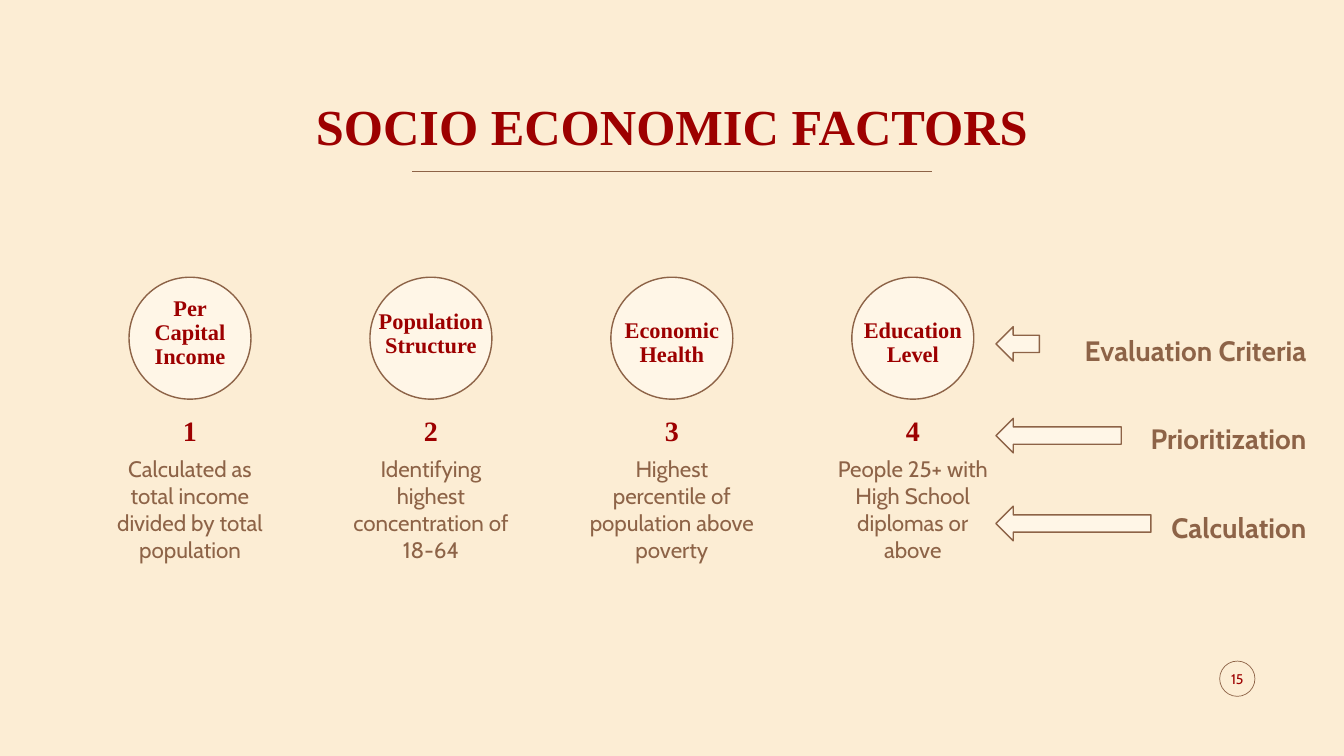
from typing import NamedTuple

import pptx
import pptx.dml.color
import pptx.enum.shapes
import pptx.enum.text
import pptx.oxml.ns
import pptx.util
from lxml import etree

Pt = pptx.util.Pt
Align = pptx.enum.text.PP_ALIGN
Anchor = pptx.enum.text.MSO_ANCHOR
Kind = pptx.enum.shapes.MSO_SHAPE

CREAM, PALE, BROWN, RED = "FCEDD4", "FFF6E7", "8D6347", "9D0000"
SERIF, SANS = "Times New Roman", "Cabin"


class Box(NamedTuple):
    left: float
    top: float
    width: float
    height: float


class Style(NamedTuple):
    font: str
    size: float
    color: str
    bold: bool = False
    align: Align = Align.CENTER
    anchor: Anchor = Anchor.TOP
    line: float = 1.0
    gap: float = 0


class Factor(NamedTuple):
    name: str
    top: float
    width: float
    detail: str


class Arrow(NamedTuple):
    label: str
    top: float
    width: float


TITLE = Style(SERIF, 36, RED, True, anchor=Anchor.BOTTOM, line=0.9)
NAME = Style(SERIF, 16, RED, True, line=0.9)
RANK = Style(SERIF, 20, RED, True, anchor=Anchor.BOTTOM, line=0.9)
DETAIL = Style(SANS, 16, BROWN)
SIDE = Style(SANS, 20, BROWN, True, Align.RIGHT, Anchor.MIDDLE, 0.9, 41.3)
PAGE = Style(SANS, 10, RED, anchor=Anchor.MIDDLE)

FACTORS = [
    Factor("Per Capital Income", 208.8, 87.1,
           "Calculated as total income divided by total population"),
    Factor("Population Structure", 218.2, 93.6,
           "Identifying highest concentration of 18-64"),
    Factor("Economic Health", 224.6, 87.1,
           "Highest percentile of population above poverty"),
    Factor("Education Level", 224.6, 87.1,
           "People 25+ with High School diplomas or above"),
]
ARROWS = [
    Arrow("Evaluation Criteria", 233.3, 31),
    Arrow("Prioritization", 298.8, 89.5),
    Arrow("Calculation", 361.6, 110.7),
]
CENTER, PITCH = 135.7, 172.1
DISC, COLUMN = 87.1, 136.1


def paint(code: str) -> pptx.dml.color.RGBColor:
    return pptx.dml.color.RGBColor.from_string(code)


def place(shape, box: Box) -> None:
    shape.left, shape.top, shape.width, shape.height = map(Pt, box)


def write(shape, text: str, style: Style) -> None:
    """Fill a shape with text, one paragraph to each line."""
    frame = shape.text_frame
    frame.text = text
    frame.word_wrap = True
    frame.auto_size = pptx.enum.text.MSO_AUTO_SIZE.NONE
    frame.vertical_anchor = style.anchor
    for index, para in enumerate(frame.paragraphs):
        para.alignment = style.align
        para.line_spacing = style.line
        para.space_before = Pt(style.gap if index else 0)
        for run in para.runs:
            run.font.name = style.font
            run.font.size = Pt(style.size)
            run.font.bold = style.bold
            run.font.color.rgb = paint(style.color)


def add_text(slide, box: Box, text: str, style: Style) -> None:
    write(slide.shapes.add_textbox(*map(Pt, box)), text, style)


def add_form(slide, kind: Kind, box: Box, fill: str = "",
             weight: float = 1) -> None:
    form = slide.shapes.add_shape(kind, *map(Pt, box))
    form.shadow.inherit = False
    if fill:
        form.fill.solid()
        form.fill.fore_color.rgb = paint(fill)
    else:
        form.fill.background()
    form.line.color.rgb = paint(BROWN)
    form.line.width = Pt(weight)


def add_rule(slide, start: float, end: float, top: float) -> None:
    rule = slide.shapes.add_connector(
        pptx.enum.shapes.MSO_CONNECTOR.STRAIGHT,
        Pt(start), Pt(top), Pt(end), Pt(top))
    rule.line.color.rgb = paint(BROWN)
    rule.line.width = Pt(1)
    props = rule._element.spPr
    etree.SubElement(props, pptx.oxml.ns.qn("a:effectLst"))


def add_factor(slide, index: int, factor: Factor) -> None:
    """Draw one column: disc, name, rank and detail."""
    middle = CENTER + index * PITCH
    left = middle - COLUMN / 2
    add_form(slide, Kind.OVAL,
             Box(middle - DISC / 2, 198, DISC, DISC), PALE)
    add_text(slide, Box(middle - factor.width / 2, factor.top,
                        factor.width, 42), factor.name, NAME)
    add_text(slide, Box(left, 293.8, COLUMN, 29.5), str(index + 1), RANK)
    add_text(slide, Box(left, 321.8, COLUMN, 105), factor.detail, DETAIL)


def main() -> None:
    deck = pptx.Presentation()
    deck.slide_width, deck.slide_height = Pt(960), Pt(540)
    slide = deck.slides.add_slide(deck.slide_layouts.get_by_name("Title Only"))
    slide.background.fill.solid()
    slide.background.fill.fore_color.rgb = paint(CREAM)

    title = slide.shapes.title
    place(title, Box(66, 59.8, 828, 55.4))
    write(title, "SOCIO ECONOMIC FACTORS", TITLE)
    add_rule(slide, 294.4, 665.8, 122.4)

    for index, factor in enumerate(FACTORS):
        add_factor(slide, index, factor)

    labels = "\n".join(arrow.label for arrow in ARROWS)
    add_text(slide, Box(725.8, 236.9, 214.5, 156), labels, SIDE)
    for arrow in ARROWS:
        add_form(slide, Kind.LEFT_ARROW,
                 Box(711.4, arrow.top, arrow.width, 24.7), PALE)

    add_form(slide, Kind.OVAL, Box(871.2, 472.2, 25.2, 25.2), weight=0.5)
    add_text(slide, Box(869.4, 470.6, 28.8, 28.8), "15", PAGE)
    deck.save("out.pptx")


if __name__ == "__main__":
    main()
